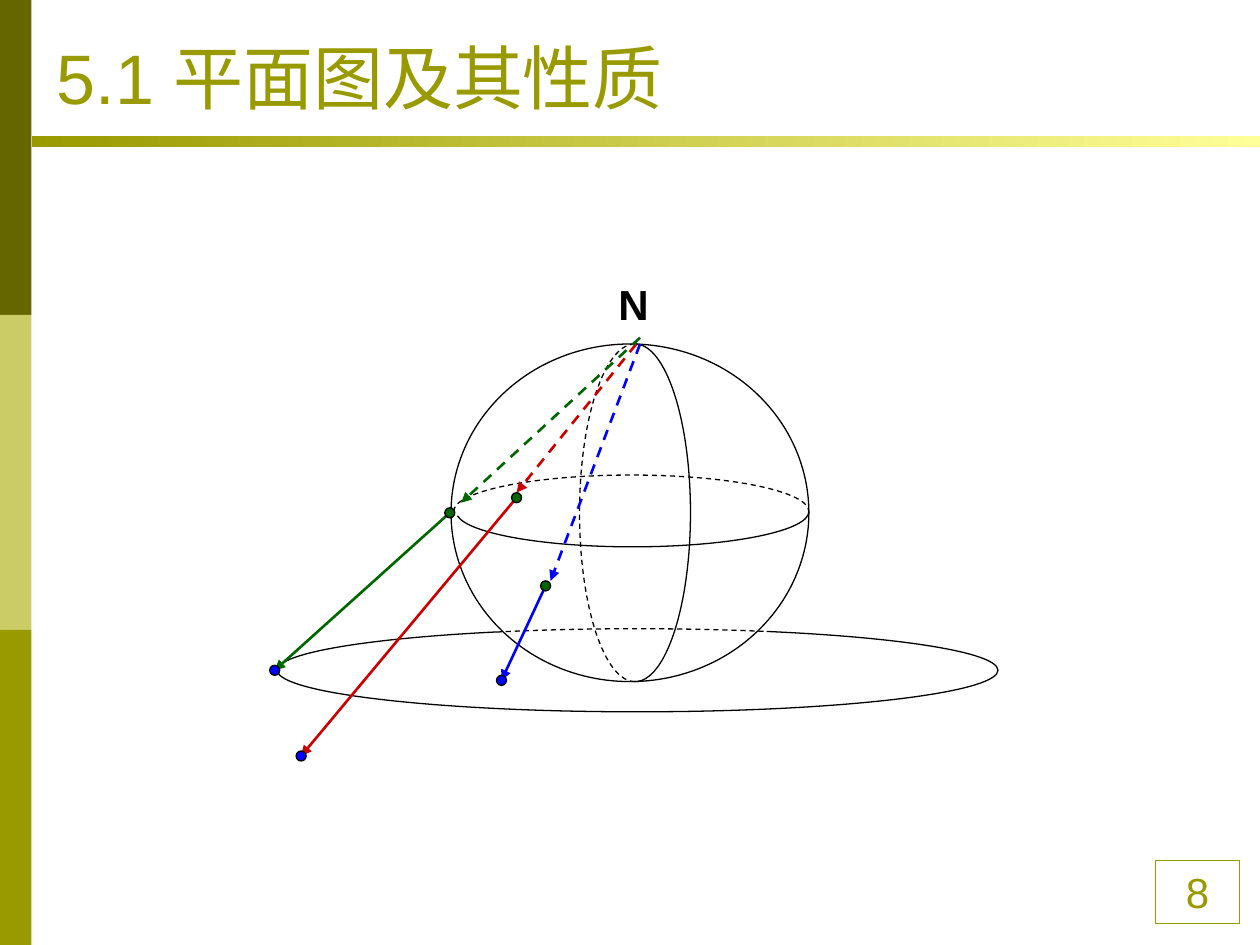
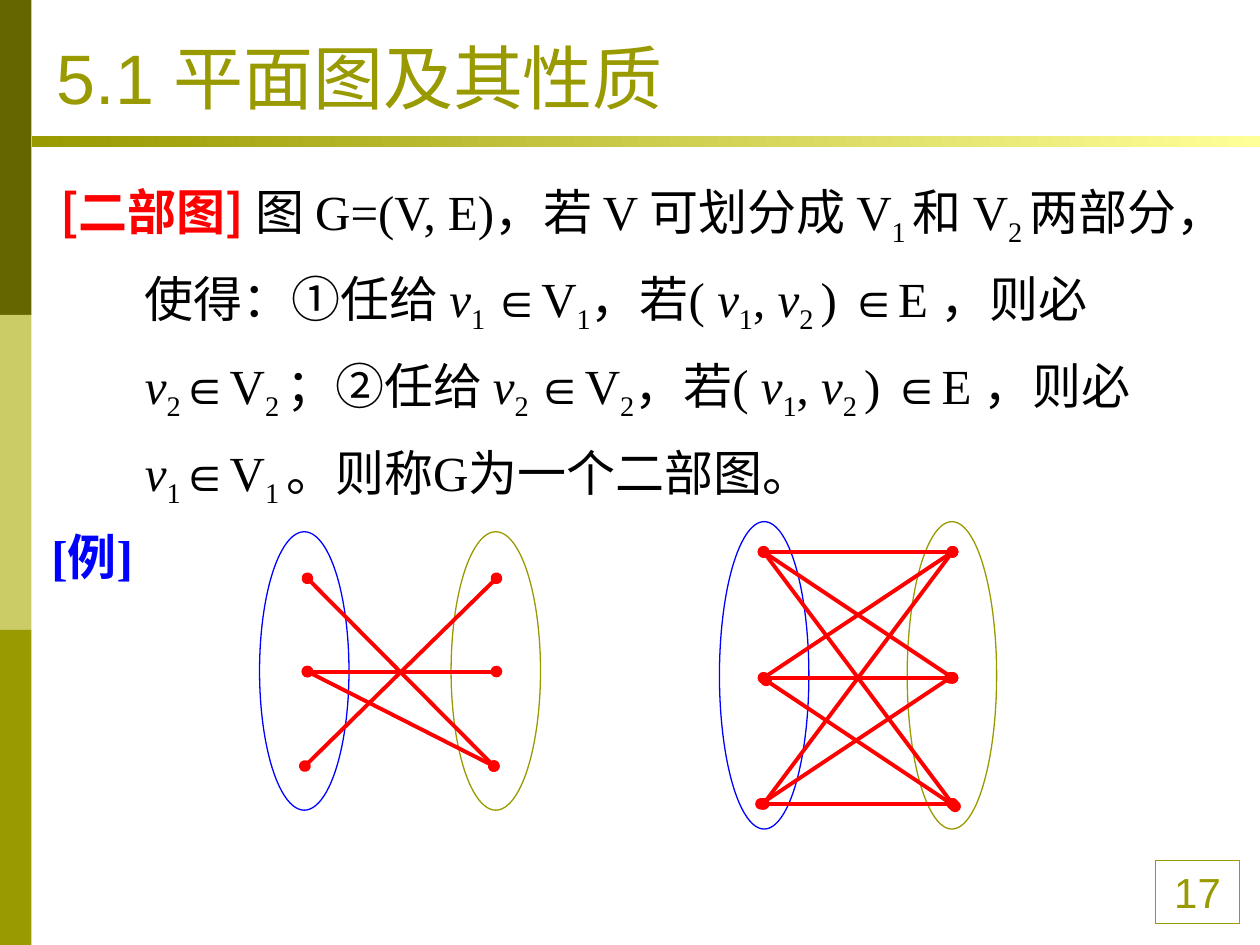
from itertools import groupby
from math import ceil, cos, radians, sin, tan

from lxml import etree
from pptx import Presentation
from pptx.dml.color import RGBColor
from pptx.enum.dml import MSO_LINE
from pptx.enum.shapes import MSO_CONNECTOR, MSO_SHAPE
from pptx.enum.text import MSO_ANCHOR, MSO_AUTO_SIZE, PP_ALIGN
from pptx.oxml.ns import qn
from pptx.util import Inches, Pt

RECT, OVAL = MSO_SHAPE.RECTANGLE, MSO_SHAPE.OVAL
STRAIGHT, DASH = MSO_CONNECTOR.STRAIGHT, MSO_LINE.DASH
TOP, MIDDLE, BOTTOM = MSO_ANCHOR.TOP, MSO_ANCHOR.MIDDLE, MSO_ANCHOR.BOTTOM
LEFT, CENTER = PP_ALIGN.LEFT, PP_ALIGN.CENTER
NO_AUTOFIT = MSO_AUTO_SIZE.NONE

WHITE = RGBColor(0xFF, 0xFF, 0xFF)
BLACK = RGBColor(0x00, 0x00, 0x00)
DARK_OLIVE = RGBColor(0x66, 0x66, 0x00)
PALE_OLIVE = RGBColor(0xCC, 0xCC, 0x66)
OLIVE = RGBColor(0x99, 0x99, 0x00)
CREAM = RGBColor(0xFF, 0xFF, 0x99)
RED = RGBColor(0xFF, 0x00, 0x00)
DARK_RED = RGBColor(0xCC, 0x00, 0x00)
GREEN = RGBColor(0x00, 0x66, 0x00)
BLUE = RGBColor(0x00, 0x00, 0xFF)

SANS, SERIF, CJK = "Arial", "Times New Roman", "Noto Sans CJK SC"
TITLE = "5.1 平面图及其性质"
TERM = "[二部图] "
DEFINITION = (
    "图 G=(V, E)，若 V 可划分成 V1 和 V2 两部分，使得：①任给 v1 ∈V1，若( v1, v2 ) ∈E ，"
    "则必 v2∈V2 ；②任给 v2 ∈V2，若( v1, v2 ) ∈E ，则必 v1∈V1 。则称G为一个二部图。"
)

RAYS = [
    (DARK_RED, (3.05, 0.73), (2.1, 1.91), (2.1, 1.95), (0.39, 4.0)),
    (BLUE, (3.08, 0.73), (2.37, 2.61), (2.33, 2.65), (1.98, 3.4)),
    (GREEN, (3.08, 0.68), (1.66, 1.99), (1.57, 2.07), (0.18, 3.32)),
]
ARCS = [
    ((3.04, 2.07), (0.44, 1.34), -90, 90, False),
    ((3.04, 2.07), (0.44, 1.34), 90, 270, True),
    ((3.02, 2.06), (1.4, 0.28), 0, 173, False),
    ((3.01, 2.06), (1.41, 0.29), 180, 360, True),
    ((3.06, 3.32), (2.86, 0.33), -69, 247, False),
    ((3.06, 3.32), (2.86, 0.33), 247, 291, True),
]
SPARSE_ROWS = [(0, 0.37), (0, 1.11), (-0.02, 1.86)]
SPARSE_EDGES = [(1, 1, 0, 0), (1, 2, 0, 0), (2, 0, 0, 0), (0, 2, 0, 0)]
FULL_ROWS = [(0, 0.24), (0, 1.24), (0, 2.24)]
FULL_NUDGES = {(2, 1): (-0.02, 0), (1, 2): (0.02, 0.02)}
FULL_EDGES = [
    (a, b, *FULL_NUDGES.get((a, b), (0, 0))) for a in range(3) for b in range(3)
]


def add_figure(slide, kind, left, top, width, height, fill=None, outline=None):
    figure = slide.shapes.add_shape(
        kind, Inches(left), Inches(top), Inches(width), Inches(height)
    )
    style_figure(figure, fill, outline)
    return figure


def style_figure(figure, fill, outline):
    figure.shadow.inherit = False
    if fill is None:
        figure.fill.background()
    else:
        figure.fill.solid()
        figure.fill.fore_color.rgb = fill
    if outline is None:
        figure.line.fill.background()
    else:
        figure.line.color.rgb = outline
        figure.line.width = Pt(0.75)


def add_line(slide, start, end, color, width, head=None, tail=None, dashed=False):
    line = slide.shapes.add_connector(
        STRAIGHT, *(Inches(value) for value in (*start, *end))
    )
    line.line.color.rgb = color
    line.line.width = Pt(width)
    if dashed:
        line.line.dash_style = DASH
    outline = line.line._get_or_add_ln()
    for tag, tip in (("a:headEnd", head), ("a:tailEnd", tail)):
        if tip:
            etree.SubElement(outline, qn(tag)).set("type", tip)
    etree.SubElement(line._element.spPr, qn("a:effectLst"))


def arc_controls(first, last):
    count = ceil((last - first) / 90)
    step = radians(last - first) / count
    reach = 4 / 3 * tan(step / 4)
    points = [(cos(radians(first)), sin(radians(first)))]
    for index in range(count):
        a = radians(first) + index * step
        b = a + step
        points += [
            (cos(a) - reach * sin(a), sin(a) + reach * cos(a)),
            (cos(b) + reach * sin(b), sin(b) - reach * cos(b)),
            (cos(b), sin(b)),
        ]
    return points


def add_arc(slide, center, radii, first, last, dashed):
    points = [
        (Inches(center[0] + radii[0] * x), Inches(center[1] + radii[1] * y))
        for x, y in arc_controls(first, last)
    ]
    builder = slide.shapes.build_freeform(*points[0])
    builder.add_line_segments(points[1:], close=False)
    arc = builder.convert_to_shape()
    outline = next(arc._element.iter(qn("a:path")))
    segments = outline.findall(qn("a:lnTo"))
    for index in range(0, len(segments), 3):
        curve = etree.SubElement(outline, qn("a:cubicBezTo"))
        for segment in segments[index:index + 3]:
            curve.append(segment[0])
            outline.remove(segment)
    style_figure(arc, None, BLACK)
    if dashed:
        arc.line.dash_style = DASH


def set_font(font, name, size, color, bold=False):
    font.name = name
    font.size = Pt(size)
    font.color.rgb = color
    font.bold = bold


def add_label(slide, left, top, width, height, text, name, size, color):
    label = slide.shapes.add_textbox(
        Inches(left), Inches(top), Inches(width), Inches(height)
    )
    label.text_frame.word_wrap = False
    paragraph = label.text_frame.paragraphs[0]
    paragraph.text = text
    set_font(paragraph.font, name, size, color, True)
    return paragraph


def place(placeholder, left, top, width, height, anchor):
    placeholder.left, placeholder.top = Inches(left), Inches(top)
    placeholder.width, placeholder.height = Inches(width), Inches(height)
    frame = placeholder.text_frame
    frame.auto_size = NO_AUTOFIT
    frame.vertical_anchor = anchor
    frame.word_wrap = True
    return frame.paragraphs[0]


def add_page(deck, layout, number):
    slide = deck.slides.add_slide(deck.slide_layouts[layout])
    for index, color in enumerate((DARK_OLIVE, PALE_OLIVE, OLIVE)):
        add_figure(slide, RECT, 0, 2.5 * index, 0.25, 2.5, color)

    rule = add_figure(slide, RECT, 0.25, 1.08, 9.75, 0.09)
    rule.fill.gradient()
    rule.fill.gradient_angle = 0
    for stop, color, position in zip(rule.fill.gradient_stops, (OLIVE, CREAM), (0, 1)):
        stop.color.rgb = color
        stop.position = position

    number_box = add_figure(slide, RECT, 9.17, 6.83, 0.67, 0.5, outline=OLIVE)
    number_box.text_frame.vertical_anchor = MIDDLE
    paragraph = number_box.text_frame.paragraphs[0]
    paragraph.text = str(number)
    paragraph.alignment = CENTER
    set_font(paragraph.font, SANS, 24, OLIVE)

    heading = place(slide.shapes.title, 0.35, 0.13, 9, 0.86, BOTTOM)
    heading.text = TITLE
    heading.alignment = LEFT
    set_font(heading.font, SANS, 40, OLIVE)
    return slide


def draw_projection(slide, left, top):
    def at(point):
        return left + point[0], top + point[1]

    def add_dot(point, color):
        x, y = at(point)
        add_figure(slide, OVAL, x - 0.04, y - 0.04, 0.08, 0.08, color, BLACK)

    add_figure(slide, OVAL, left + 1.58, top + 0.73, 2.84, 2.68, WHITE, BLACK)
    for center, radii, first, last, dashed in ARCS:
        add_arc(slide, at(center), radii, first, last, dashed)
    add_label(slide, left + 2.81, top + 0.16, 0.44, 0.5, "N", SANS, 24, BLACK)
    for color, north, inner_end, on_sphere, on_plane in RAYS:
        add_line(slide, at(north), at(inner_end), color, 1.5, tail="triangle", dashed=True)
        add_line(slide, at(on_sphere), at(on_plane), color, 1.5, tail="triangle")
        add_dot(on_sphere, GREEN)
        add_dot(on_plane, BLUE)


def definition_parts():
    marked = []
    kind = "plain"
    for char in DEFINITION:
        if char in "12" or (char == " " and kind == "subscript"):
            kind = "subscript"
        else:
            kind = {"v": "variable", "∈": "member"}.get(char, "plain")
        marked.append((kind, char))
    for kind, chars in groupby(marked, key=lambda pair: pair[0]):
        yield kind, "".join(char for _, char in chars)


def write_definition(body):
    paragraph = place(body, 0.38, 1.23, 9.37, 2.86, TOP)
    properties = paragraph._p.get_or_add_pPr()
    properties.set("marL", str(Inches(0.67)))
    properties.set("indent", str(-Inches(0.67)))
    etree.SubElement(properties, qn("a:buNone"))
    paragraph.line_spacing = 1.3
    paragraph.space_before = Pt(0)
    paragraph.font.size = Pt(28)

    term = paragraph.add_run()
    term.text = TERM
    set_font(term.font, CJK, 28, RED, True)
    for kind, text in definition_parts():
        run = paragraph.add_run()
        run.text = text
        set_font(run.font, SANS if kind == "member" else SERIF, 28, BLACK)
        if kind == "variable":
            run.font.italic = True
        if kind == "subscript":
            run._r.get_or_add_rPr().set("baseline", "-25000")
    for run in paragraph.runs:
        east_asian = etree.Element(qn("a:ea"))
        east_asian.set("typeface", CJK)
        run._r.rPr.find(qn("a:latin")).addnext(east_asian)


def draw_bipartite(slide, left, top, height, part_gap, inset, rows, edges):
    add_figure(slide, OVAL, left + part_gap, top, 0.71, height, WHITE, OLIVE)
    add_figure(slide, OVAL, left, top, 0.71, height, WHITE, BLUE)
    for start_row, end_row, dx, dy in edges:
        (start_x, start_y), (end_x, end_y) = rows[start_row], rows[end_row]
        x, y = left + inset + dx, top + dy
        start = x + start_x, y + start_y
        end = x + 1.5 + end_x, y + end_y
        add_line(slide, start, end, RED, 2.25, "oval", "oval")


def build_projection_slide(deck):
    slide = add_page(deck, 5, 8)
    draw_projection(slide, 2, 2)


def build_bipartite_slide(deck):
    slide = add_page(deck, 1, 17)
    write_definition(slide.placeholders[1])
    draw_bipartite(slide, 2.06, 4.22, 2.21, 1.52, 0.38, SPARSE_ROWS, SPARSE_EDGES)
    draw_bipartite(slide, 5.71, 4.14, 2.44, 1.49, 0.35, FULL_ROWS, FULL_EDGES)
    isolated = (2.44, 6.74)
    add_line(slide, isolated, isolated, RED, 2.25, "oval", "oval")
    example = add_label(slide, 0.31, 3.99, 1.03, 0.71, "[例]", SERIF, 28, BLUE)
    example.line_spacing = 1.3


def main():
    deck = Presentation()
    deck.slide_width, deck.slide_height = Inches(10), Inches(7.5)
    build_projection_slide(deck)
    build_bipartite_slide(deck)
    deck.save("out.pptx")


if __name__ == "__main__":
    main()
